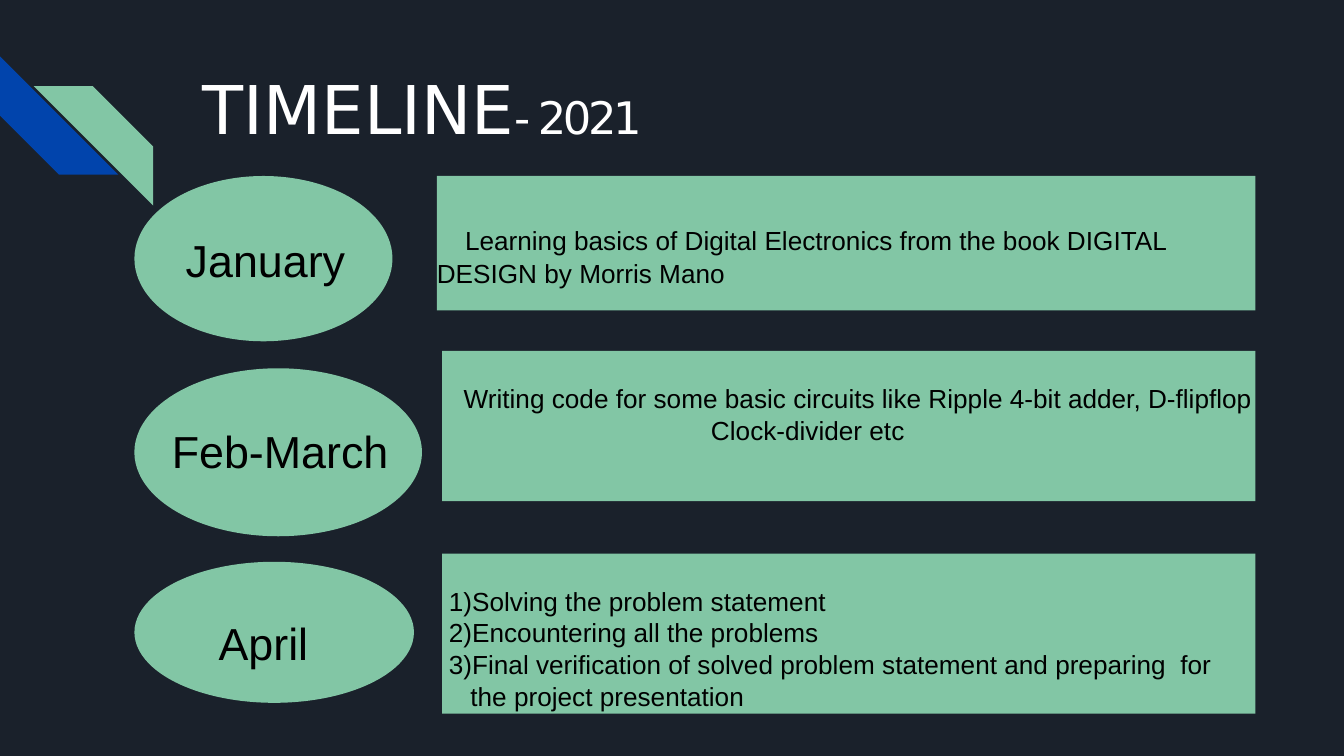
from pptx import Presentation
from pptx.dml.color import RGBColor
from pptx.enum.shapes import MSO_SHAPE
from pptx.enum.text import MSO_ANCHOR, MSO_AUTO_SIZE, PP_ALIGN
from pptx.util import Inches, Pt

NAVY = RGBColor(0x1A, 0x21, 0x2B)
BLUE = RGBColor(0x01, 0x44, 0xAC)
GREEN = RGBColor(0x82, 0xC6, 0xA5)
WHITE = RGBColor(0xFF, 0xFF, 0xFF)
BLACK = RGBColor(0x00, 0x00, 0x00)

LEFT = 1
RIGHT = 9.34

# month, (top, width, height), insets that move the centred text
MONTHS = [
    ("January", (1.31, 1.92, 1.23), {"left": 0.03, "top": 0.02}),
    ("Feb-March", (2.74, 2.14, 1.25), {"left": 0.03, "bottom": 0.03}),
    ("April", (4.18, 2.08, 1.05), {"right": 0.16, "top": 0.16}),
]

# (left, top, height), top inset, line pitch in points,
# paragraphs as (text, left margin, first-line indent)
TASKS = [
    ((3.25, 1.31, 1), 0.35, 17.7, [
        ("Learning basics of Digital Electronics from the book DIGITAL\v"
         "DESIGN by Morris Mano", 0, 0.21),
    ]),
    ((3.29, 2.61, 1.12), 0.24, 16.7, [
        ("Writing code for some basic circuits like Ripple 4-bit adder, D-flipflop",
         0.16, 0),
        ("Clock-divider etc", 2, 0),
    ]),
    ((3.29, 4.12, 1.19), 0.23, 17, [
        ("1)Solving the problem statement", 0.05, 0),
        ("2)Encountering all the problems", 0.05, 0),
        ("3)Final verification of solved problem statement and preparing  for\v"
         "the project presentation", 0.21, -0.16),
    ]),
]


def paint(sp, color):
    sp.shadow.inherit = False
    sp.fill.solid()
    sp.fill.fore_color.rgb = color
    sp.line.fill.background()


def set_insets(tf, left=0, top=0, right=0, bottom=0):
    tf.margin_left, tf.margin_top = Inches(left), Inches(top)
    tf.margin_right, tf.margin_bottom = Inches(right), Inches(bottom)


def format_run(r, size, color=BLACK, font="Arial"):
    r.font.size = Pt(size)
    r.font.name = font
    r.font.color.rgb = color


def add_ribbon(slide, points, color):
    start, *rest = [(Inches(x), Inches(y)) for x, y in points]
    builder = slide.shapes.build_freeform(*start)
    builder.add_line_segments(rest, close=True)
    paint(builder.convert_to_shape(), color)


def add_title(slide):
    title = slide.shapes.title
    title.left, title.top = Inches(1.5), Inches(0.49)
    title.width, title.height = Inches(4.42), Inches(0.62)
    tf = title.text_frame
    tf.auto_size = MSO_AUTO_SIZE.NONE
    tf.vertical_anchor = MSO_ANCHOR.TOP
    set_insets(tf, left=0.01, top=0.01)
    p = tf.paragraphs[0]
    p.alignment = PP_ALIGN.LEFT
    p.space_before = Pt(1)
    for text, size in (("TIMELINE", 36), ("- 2021", 24)):
        r = p.add_run()
        r.text = text
        format_run(r, size, WHITE, "DejaVu Sans")
    r.font._element.set("spc", "-180")


def add_month(slide, month, box, insets):
    top, width, height = box
    sp = slide.shapes.add_shape(MSO_SHAPE.OVAL, Inches(LEFT), Inches(top),
                                Inches(width), Inches(height))
    paint(sp, GREEN)
    tf = sp.text_frame
    tf.text = month
    tf.word_wrap = False
    tf.vertical_anchor = MSO_ANCHOR.MIDDLE
    set_insets(tf, **insets)
    p = tf.paragraphs[0]
    p.alignment = PP_ALIGN.CENTER
    format_run(p.runs[0], 24)


def add_task(slide, box, inset, pitch, paragraphs):
    left, top, height = box
    sp = slide.shapes.add_shape(MSO_SHAPE.RECTANGLE, Inches(left), Inches(top),
                                Inches(RIGHT - left), Inches(height))
    paint(sp, GREEN)
    tf = sp.text_frame
    tf.word_wrap = True
    tf.vertical_anchor = MSO_ANCHOR.TOP
    set_insets(tf, top=inset)
    for i, (text, margin, indent) in enumerate(paragraphs):
        p = tf.add_paragraph() if i else tf.paragraphs[0]
        p.text = text
        p.alignment = PP_ALIGN.LEFT
        p.line_spacing = Pt(pitch)
        pPr = p._p.get_or_add_pPr()
        pPr.set("marL", str(Inches(margin)))
        pPr.set("indent", str(Inches(indent)))
        for r in p.runs:
            format_run(r, 14)


def main():
    prs = Presentation()
    prs.slide_width = Inches(10)
    prs.slide_height = prs.slide_width * 9 // 16
    slide = prs.slides.add_slide(prs.slide_layouts[5])
    fill = slide.background.fill
    fill.solid()
    fill.fore_color.rgb = NAVY

    add_ribbon(slide, [(0.88, 1.3), (0.44, 1.3), (0, 0.86), (0, 0.42)], BLUE)
    add_ribbon(slide, [(1.14, 1.53), (0.25, 0.64), (0.69, 0.64), (1.14, 1.09)], GREEN)
    add_title(slide)
    for month in MONTHS:
        add_month(slide, *month)
    for task in TASKS:
        add_task(slide, *task)
    prs.save("out.pptx")


if __name__ == "__main__":
    main()
